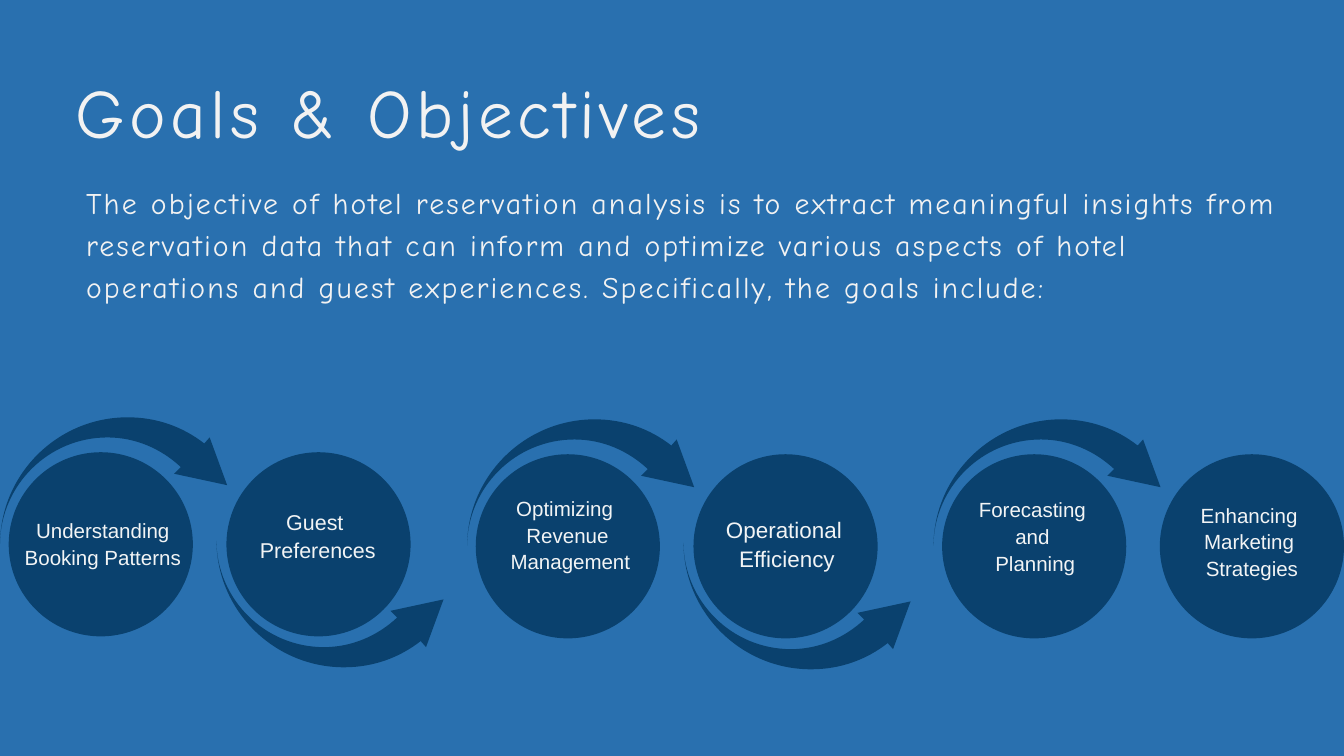
from dataclasses import dataclass

from pptx import Presentation
from pptx.dml.color import RGBColor
from pptx.enum.shapes import MSO_SHAPE as Shape
from pptx.enum.text import MSO_ANCHOR as Anchor, MSO_AUTO_SIZE as AutoSize, PP_ALIGN as Align
from pptx.oxml.ns import qn
from pptx.util import Inches, Pt


@dataclass(frozen=True)
class Theme:
    background: str = "2970AF"
    navy: str = "0A416E"
    heading: str = "F2F2F2"
    label: str = "F2F4F5"
    display_font: str = "Comic Neue"
    label_font: str = "Arial"
    title_size: float = 74.2
    body_size: float = 32
    leading: float = 1.3


THEME = Theme()

GOALS = [
    # lines, type size, label offset in its circle (left, top), label width
    (["Understanding Booking Patterns"], 22, (0.03, 0.95), 2.74),
    (["Guest ", "Preferences"], 23, (0.27, 0.82), 2.18),
    (["Optimizing ", "Revenue", " Management"], 22, (0.35, 0.59), 2.03),
    (["Operational", " Efficiency"], 24, (0.34, 0.88), 2.01),
    (["Forecasting ", "and ", "Planning"], 22, (0.46, 0.61), 1.85),
    (["Enhancing ", "Marketing ", "Strategies"], 22, (0.57, 0.69), 1.6),
]
PAIR_CORNERS = [(0, 6.21), (6.95, 6.24), (13.89, 6.24)]
CIRCLE_OFFSETS = [(0.13, 0.52), (3.37, 0.52)]
CIRCLE_SIZE = 2.74
LOWER_ARROW_OFFSET = (3.22, 1.84)

ARROW_HEIGHT = 1.88
ARROW_TIP = (3.38, 1.01)
# Each step is one point for a line, or three points for a curve.
ARROW_STEPS = [
    [(2.59, 0.84)],
    [(2.69, 0.74)],
    [(2.4, 0.47), (2.02, 0.3), (1.6, 0.3)],
    [(0.72, 0.3), (0.01, 1.01), (0, 1.88)],
    [(0.01, 0.84), (0.86, 0), (1.9, 0)],
    [(2.33, 0), (2.72, 0.14), (3.04, 0.39)],
    [(3.12, 0.3)],
]


def place(shape, left, top, width, height):
    shape.left, shape.top = Inches(left), Inches(top)
    shape.width, shape.height = Inches(width), Inches(height)


def write(shape, lines, *, font, size, color, line_height, align=Align.LEFT, tracking=0):
    frame = shape.text_frame
    frame.word_wrap = True
    frame.auto_size = AutoSize.NONE
    frame.vertical_anchor = Anchor.TOP
    frame.margin_left = frame.margin_right = frame.margin_top = frame.margin_bottom = 0
    for index, line in enumerate(lines):
        paragraph = frame.add_paragraph() if index else frame.paragraphs[0]
        paragraph.alignment = align
        paragraph.line_spacing = Pt(line_height)
        paragraph.space_before = Pt(0)
        run = paragraph.add_run()
        run.text = line
        run.font.name = font
        run.font.size = Pt(size)
        run.font.color.rgb = RGBColor.from_string(color)
        if tracking:
            run.font._element.set("spc", str(round(tracking * 100)))


def paint(shape):
    shape.shadow.inherit = False
    shape.fill.solid()
    shape.fill.fore_color.rgb = RGBColor.from_string(THEME.navy)
    shape.line.fill.background()


def bend(arrow):
    """Turn the line segments of each three-point step into one Bezier curve."""
    segments = iter(list(arrow._element.iter(qn("a:lnTo"))))
    for step in ARROW_STEPS:
        first, *others = [next(segments) for _ in step]
        if others:
            first.tag = qn("a:cubicBezTo")
        for other in others:
            first.append(other[0])
            other.getparent().remove(other)


def add_swoosh(slide, left, top, below=False):
    outline = [ARROW_TIP] + [point for step in ARROW_STEPS for point in step]
    points = [
        (Inches(left + x), Inches(top + (ARROW_HEIGHT - y if below else y)))
        for x, y in outline
    ]
    builder = slide.shapes.build_freeform(*points[0], scale=1.0)
    builder.add_line_segments(points[1:], close=False)
    builder.add_line_segments([], close=True)
    arrow = builder.convert_to_shape()
    bend(arrow)
    paint(arrow)


def add_goal(slide, left, top, goal):
    lines, size, (label_left, label_top), width = goal
    edge = Inches(CIRCLE_SIZE)
    paint(slide.shapes.add_shape(Shape.OVAL, Inches(left), Inches(top), edge, edge))
    line_height = size * THEME.leading
    rows = max(len(lines), 2)
    label = slide.shapes.add_textbox(
        Inches(left + label_left), Inches(top + label_top),
        Inches(width), Inches(rows * line_height / 72))
    write(label, lines, font=THEME.label_font, size=size, color=THEME.label,
          line_height=line_height, align=Align.CENTER)


def add_goal_pair(slide, left, top, goals, leads_on):
    add_swoosh(slide, left, top)
    for (dx, dy), goal in zip(CIRCLE_OFFSETS, goals):
        add_goal(slide, left + dx, top + dy, goal)
    if leads_on:
        dx, dy = LOWER_ARROW_OFFSET
        add_swoosh(slide, left + dx, top + dy, below=True)


def add_introduction(slide, left, top):
    title, body = slide.placeholders
    place(title, left, top, 9.95, 1.39)
    write(title, ["Goals & Objectives"], font=THEME.display_font, size=THEME.title_size,
          color=THEME.heading, line_height=103.8, tracking=4.85)
    place(body, left + 0.16, top + 1.84, 17.85, 3.05)
    write(body, ["The objective of hotel reservation analysis is to extract meaningful insights "
                 "from reservation data that can inform and optimize various aspects of hotel "
                 "operations and guest experiences. Specifically, the goals include:"],
          font=THEME.display_font, size=THEME.body_size, color=THEME.heading,
          line_height=44.9, tracking=2.26)
    properties = body.text_frame.paragraphs[0]._p.get_or_add_pPr()
    properties.set("marL", "0")
    properties.set("indent", "0")
    properties.append(properties.makeelement(qn("a:buNone"), {}))


def main():
    deck = Presentation()
    deck.slide_width, deck.slide_height = Inches(20), Inches(11.25)
    slide = deck.slides.add_slide(deck.slide_layouts[1])
    slide.background.fill.solid()
    slide.background.fill.fore_color.rgb = RGBColor.from_string(THEME.background)

    add_introduction(slide, 1.12, 0.82)
    for index, (left, top) in enumerate(PAIR_CORNERS):
        add_goal_pair(slide, left, top, GOALS[2 * index:2 * index + 2],
                      leads_on=index < len(PAIR_CORNERS) - 1)
    deck.save("out.pptx")


if __name__ == "__main__":
    main()
